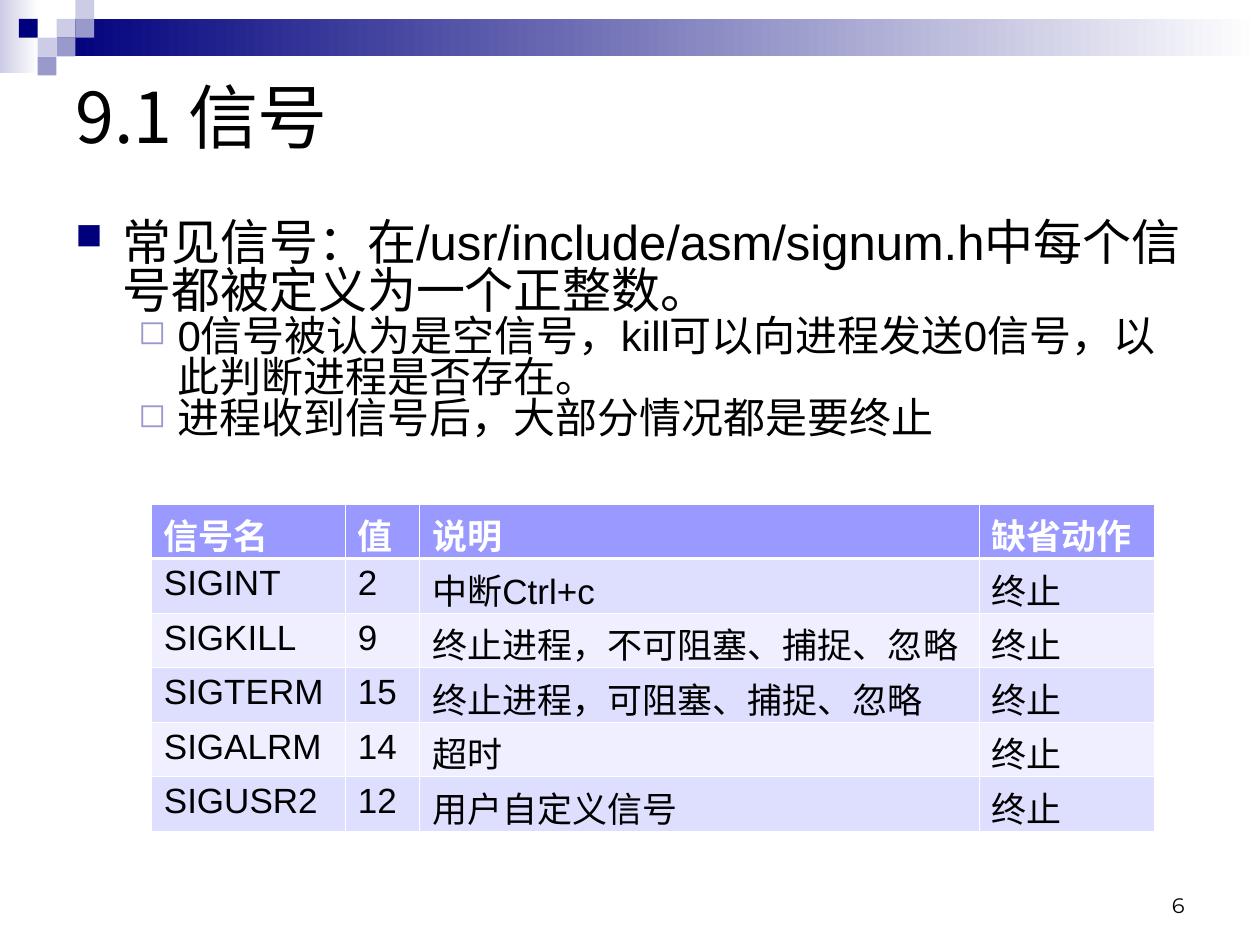
from lxml import etree
from pptx import Presentation
from pptx import util as u
from pptx.dml.color import RGBColor
from pptx.enum import shapes, text
from pptx.oxml import ns

NAVY = RGBColor(0x00, 0x00, 0x7D)
MID = RGBColor(0x99, 0x99, 0xCC)
PALE = RGBColor(0xCC, 0xCC, 0xE6)
HEAD = RGBColor(0x99, 0x99, 0xFF)
ODD = RGBColor(0xDE, 0xDE, 0xFF)
EVEN = RGBColor(0xEF, 0xEF, 0xFF)
WHITE = RGBColor(0xFF, 0xFF, 0xFF)
BLACK = RGBColor(0x00, 0x00, 0x00)
CJK = "Noto Sans CJK SC"


def sub(node, tag, **attrs):
    return etree.SubElement(node, ns.qn(tag), attrs)


def write(par, words, size, face="Arial", color=BLACK, bold=False):
    run = par.add_run()
    run.text = words
    style = {"size": u.Pt(size), "name": face, "bold": bold}
    for key, val in style.items():
        setattr(run.font, key, val)
    run.font.color.rgb = color
    sub(run.font._element, "a:ea", typeface=CJK)


prs = Presentation()
prs.slide_width, prs.slide_height = u.Cm(25.4), u.Cm(19.05)
slide = prs.slides.add_slide(prs.slide_layouts[6])

# Top band: two fading bars, then small squares on a grid
bars = [(0, 0, 0.79, 1.47, PALE), (1.14, 0.38, 24.26, 0.76, NAVY)]
side = 0.38
tiles = [(3, 1, PALE), (4, 0, PALE), (4, 1, MID), (2, 2, PALE),
         (1, 1, NAVY), (3, 2, MID), (2, 3, MID)]
bars += [(col * side, row * side, side, side, tone) for col, row, tone in tiles]
for num, (*box, tone) in enumerate(bars):
    bar = slide.shapes.add_shape(shapes.MSO_SHAPE.RECTANGLE, *map(u.Cm, box))
    bar.shadow.inherit = False
    bar.line.fill.background()
    if num < 2:
        bar.fill.gradient()
        bar.fill.gradient_angle = 0
        for stop, hue in zip(bar.fill.gradient_stops, (tone, WHITE)):
            stop.color.rgb = hue
    else:
        bar.fill.solid()
        bar.fill.fore_color.rgb = tone

# Text frames: title, body, page number
frames = []
for box, anchor in [((1.27, 0.43, 22.86, 3.81), text.MSO_ANCHOR.MIDDLE),
                    ((1.27, 4.24, 22.86, 12.07), text.MSO_ANCHOR.TOP),
                    ((18.21, 17.35, 5.92, 1.27), text.MSO_ANCHOR.BOTTOM)]:
    frame = slide.shapes.add_textbox(*map(u.Cm, box)).text_frame
    frame.word_wrap = True
    frame.vertical_anchor = anchor
    frames.append(frame)
title, body, page = frames

write(title.paragraphs[0], "9.1 信号", 40, CJK)
write(page.paragraphs[0], "6", 12, "Montserrat")
page.paragraphs[0].alignment = text.PP_ALIGN.RIGHT

# Per level: size, indent, hang, bullet, bullet size, bullet colour
levels = [(28, 0.95, 0.95, "■", 75, NAVY), (24, 2.06, 0.79, "◻", 80, MID)]
points = [
    (0, "常见信号：在/usr/include/asm/signum.h中每个信号都被定义为一个正整数。"),
    (1, "0信号被认为是空信号，kill可以向进程发送0信号，以此判断进程是否存在。"),
    (1, "进程收到信号后，大部分情况都是要终止"),
]
body.margin_top = u.Cm(0.23)
for num, (level, words) in enumerate(points):
    par = body.add_paragraph() if num else body.paragraphs[0]
    size, indent, hang, mark, scale, tone = levels[level]
    par.level = level
    par.line_spacing = 0.82
    write(par, words, size)
    props = par._p.get_or_add_pPr()
    props.set("marL", str(u.Cm(indent)))
    props.set("indent", str(-u.Cm(hang)))
    sub(sub(props, "a:buClr"), "a:srgbClr", val=str(tone))
    sub(props, "a:buSzPct", val=str(scale * 1000))
    sub(props, "a:buChar", char=mark)

# Signal table
rows = [
    ("信号名", "值", "说明", "缺省动作"),
    ("SIGINT", "2", "中断Ctrl+c", "终止"),
    ("SIGKILL", "9", "终止进程，不可阻塞、捕捉、忽略", "终止"),
    ("SIGTERM", "15", "终止进程，可阻塞、捕捉、忽略", "终止"),
    ("SIGALRM", "14", "超时", "终止"),
    ("SIGUSR2", "12", "用户自定义信号", "终止"),
]
widths = [3.91, 1.5, 11.28, 3.53]
high = 1.1
grid = slide.shapes.add_table(len(rows), len(widths), u.Cm(3.05), u.Cm(10.16),
                              u.Cm(sum(widths)), u.Cm(high * len(rows))).table
for col, width in zip(grid.columns, widths):
    col.width = u.Cm(width)
for r, row in enumerate(rows):
    grid.rows[r].height = u.Cm(high)
    for c, words in enumerate(row):
        cell = grid.cell(r, c)
        cell.margin_top, cell.margin_bottom = u.Cm(0.18), 0
        par = cell.text_frame.paragraphs[0]
        par.line_spacing = 0.9
        write(par, words, 20, color=BLACK if r else WHITE, bold=r == 0)
        props = cell._tc.get_or_add_tcPr()
        for edge in "LRTB":
            thick = (r, edge) in [(0, "B"), (1, "T")]
            line = sub(props, f"a:ln{edge}", w=str(u.Pt(1.47 if thick else 0.45)))
            sub(sub(line, "a:solidFill"), "a:srgbClr", val=str(WHITE))
        cell.fill.solid()
        cell.fill.fore_color.rgb = HEAD if r == 0 else ODD if r % 2 else EVEN

prs.save("out.pptx")
